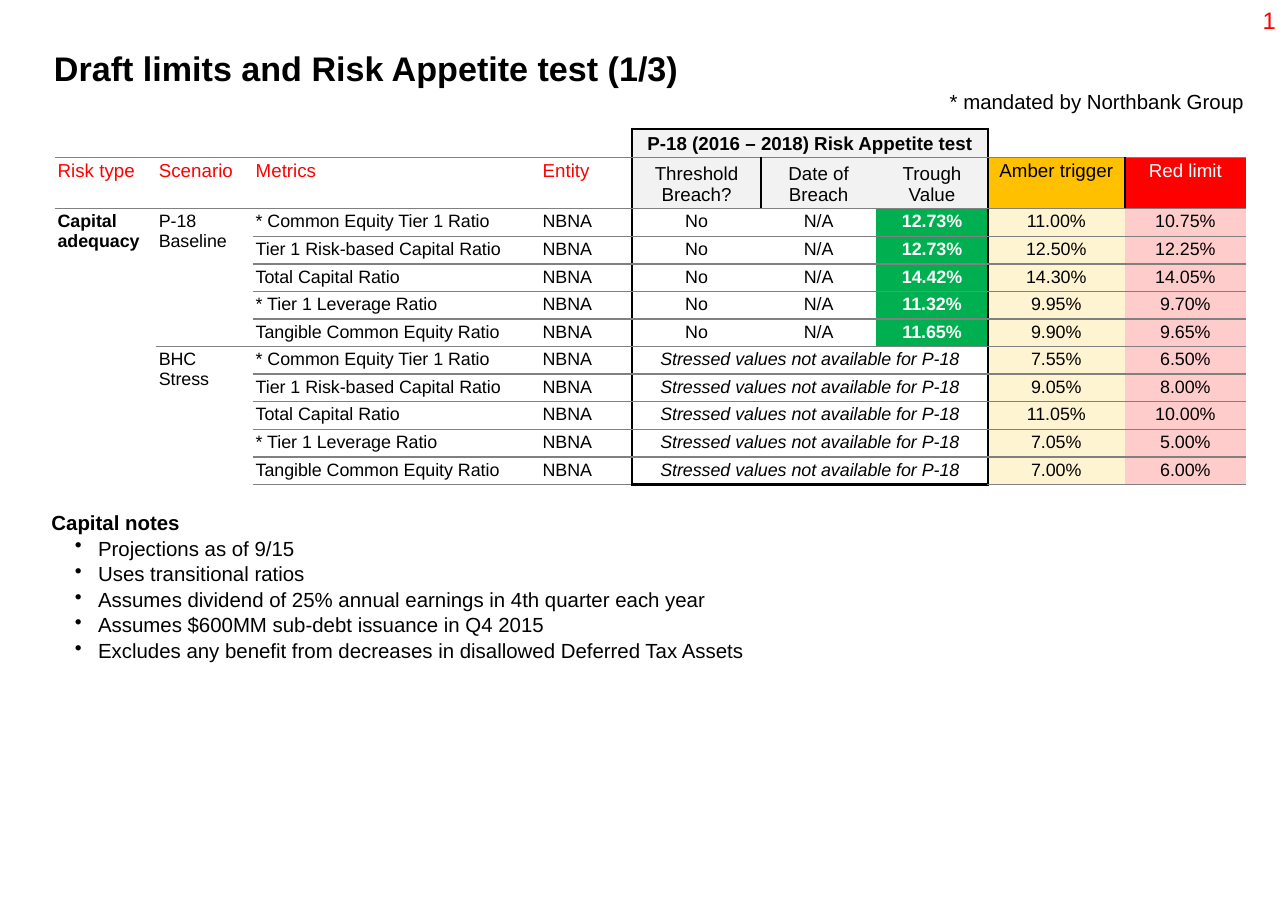
from dataclasses import dataclass

from lxml.etree import SubElement
from pptx import Presentation
from pptx.dml.color import RGBColor
from pptx.enum.text import MSO_ANCHOR as Anchor, PP_ALIGN as Align
from pptx.oxml.ns import qn
from pptx.util import Emu, Pt

EMU_PER_PX = 914400 // 200


@dataclass(frozen=True)
class Theme:
    font: str = "Arial"
    black: str = "000000"
    white: str = "FFFFFF"
    red: str = "FF0000"
    rule: str = "808080"
    test_header: str = "F2F2F2"
    amber: str = "FFC000"
    pale_amber: str = "FFF4D1"
    pale_red: str = "FFCCCC"
    green: str = "00B050"
    title_size: float = 20
    page_size: float = 14
    note_size: float = 12
    header_size: float = 11
    body_size: float = 10.5


THEME = Theme()

COLUMN_WIDTHS = [165, 158, 468, 151, 210, 188, 182, 223, 198]
ROW_HEIGHTS = [47, 80] + [45] * 10
CELL_INSET = 5
TEST_COLUMNS = range(4, 7)
TROUGH, AMBER, RED = 6, 7, 8
LAST_ROW = len(ROW_HEIGHTS)

TEST_TITLE = "P-18 (2016 – 2018) Risk Appetite test"
HEADERS = ["Risk type", "Scenario", "Metrics", "Entity", "Threshold Breach?",
           "Date of Breach", "Trough Value", "Amber trigger", "Red limit"]
METRICS = ["* Common Equity Tier 1 Ratio", "Tier 1 Risk-based Capital Ratio",
           "Total Capital Ratio", "* Tier 1 Leverage Ratio",
           "Tangible Common Equity Ratio"]
ENTITY = "NBNA"
UNAVAILABLE = "Stressed values not available for P-18"
BASELINE = [("12.73%", "11.00%", "10.75%"), ("12.73%", "12.50%", "12.25%"),
            ("14.42%", "14.30%", "14.05%"), ("11.32%", "9.95%", "9.70%"),
            ("11.65%", "9.90%", "9.65%")]
STRESS = [("7.55%", "6.50%"), ("9.05%", "8.00%"), ("11.05%", "10.00%"),
          ("7.05%", "5.00%"), ("7.00%", "6.00%")]
NOTES = ["Projections as of 9/15", "Uses transitional ratios",
         "Assumes dividend of 25% annual earnings in 4th quarter each year",
         "Assumes $600MM sub-debt issuance in Q4 2015",
         "Excludes any benefit from decreases in disallowed Deferred Tax Assets"]


def px(length):
    return Emu(length * EMU_PER_PX)


def style(paragraph, size, color=THEME.black, bold=False, italic=False, align=Align.LEFT):
    paragraph.alignment = align
    font = paragraph.font
    font.name, font.size, font.bold, font.italic = THEME.font, Pt(size), bold, italic
    font.color.rgb = RGBColor.from_string(color)


def add_text_frame(slide, box, inset=(0, 0), wrap=True):
    frame = slide.shapes.add_textbox(*map(px, box)).text_frame
    frame.margin_left = frame.margin_right = px(inset[0])
    frame.margin_top = frame.margin_bottom = px(inset[1])
    frame.word_wrap = wrap
    return frame


def add_line(slide, box, text, size, inset=(0, 0), wrap=True, **look):
    paragraph = add_text_frame(slide, box, inset, wrap).paragraphs[0]
    paragraph.text = text
    style(paragraph, size, **look)


def limit_rows():
    """Return the text of every row; None marks a cell covered by a merge."""
    rows = [[""] * 4 + [TEST_TITLE, None, None, "", ""], HEADERS]
    for metric, values in zip(METRICS, BASELINE):
        rows.append([None, None, metric, ENTITY, "No", "N/A", *values])
    for metric, limits in zip(METRICS, STRESS):
        rows.append([None, None, metric, ENTITY, UNAVAILABLE, None, None, *limits])
    rows[2][:2] = ["Capital adequacy", "P-18 Baseline"]
    rows[7][1] = "BHC Stress"
    return rows


def vertical_rule(row, x):
    """Border on the left of column x."""
    boxed = x in (4, 7) or (row == 1 and x in (5, 8))
    return (THEME.black, 1.5) if boxed else None


def horizontal_rule(y, column):
    """Border on the top of row y."""
    if y in (0, LAST_ROW) and column in TEST_COLUMNS:
        return THEME.black, 1.5
    breaks = {0: (1, 2, LAST_ROW), 1: (1, 2, 7, LAST_ROW)}.get(column, range(1, LAST_ROW + 1))
    return (THEME.rule, 1) if y in breaks else None


def draw_borders(cell, row, column):
    properties = cell._tc.get_or_add_tcPr()
    edges = {"a:lnL": vertical_rule(row, column), "a:lnR": vertical_rule(row, column + 1),
             "a:lnT": horizontal_rule(row, column), "a:lnB": horizontal_rule(row + 1, column)}
    for tag, rule in edges.items():
        line = SubElement(properties, qn(tag))
        if rule is None:
            SubElement(line, qn("a:noFill"))
            continue
        color, width = rule
        line.set("w", str(Pt(width)))
        SubElement(SubElement(line, qn("a:solidFill")), qn("a:srgbClr"), val=color)


def cell_fill(row, column, text):
    if row == 0:
        return THEME.test_header if column in TEST_COLUMNS else None
    if row == 1:
        if column in TEST_COLUMNS:
            return THEME.test_header
        return {AMBER: THEME.amber, RED: THEME.red}.get(column)
    if column == TROUGH and text:
        return THEME.green
    return {AMBER: THEME.pale_amber, RED: THEME.pale_red}.get(column)


def cell_look(row, column, text):
    look = {"size": THEME.header_size if row < 2 else THEME.body_size,
            "align": Align.LEFT if column < 4 else Align.CENTER,
            "bold": row == 0 or (row > 1 and column in (0, TROUGH)),
            "italic": text == UNAVAILABLE}
    if row == 1 and column < 4:
        look["color"] = THEME.red
    elif (row == 1 and column == RED) or (row > 1 and column == TROUGH):
        look["color"] = THEME.white
    return look


def fill_cell(cell, row, column, text):
    draw_borders(cell, row, column)
    color = cell_fill(row, column, text)
    if color:
        cell.fill.solid()
        cell.fill.fore_color.rgb = RGBColor.from_string(color)
    else:
        cell.fill.background()
    cell.margin_left = cell.margin_right = px(CELL_INSET)
    cell.margin_top = cell.margin_bottom = px(CELL_INSET)
    cell.vertical_anchor = Anchor.BOTTOM if row < 2 and column in TEST_COLUMNS else Anchor.TOP
    paragraph = cell.text_frame.paragraphs[0]
    style(paragraph, **cell_look(row, column, text))
    if text:
        paragraph.add_run().text = text
    else:
        SubElement(paragraph._p, qn("a:endParaRPr"), sz=str(int(THEME.body_size * 100)))


def add_limits_table(slide, left, top):
    table = slide.shapes.add_table(
        LAST_ROW, len(COLUMN_WIDTHS), px(left), px(top),
        px(sum(COLUMN_WIDTHS)), px(sum(ROW_HEIGHTS))).table
    table.first_row = table.horz_banding = False
    for column, width in zip(table.columns, COLUMN_WIDTHS):
        column.width = px(width)
    for row, height in zip(table.rows, ROW_HEIGHTS):
        row.height = px(height)
    for r, texts in enumerate(limit_rows()):
        for c, text in enumerate(texts):
            fill_cell(table.cell(r, c), r, c, text)
    tests = [((r, 4), (r, 6)) for r in (0, *range(7, LAST_ROW))]
    scenarios = [((2, 0), (11, 0)), ((2, 1), (6, 1)), ((7, 1), (11, 1))]
    for first, last in tests + scenarios:
        table.cell(*first).merge(table.cell(*last))


def add_notes(slide, box):
    frame = add_text_frame(slide, box)
    heading = frame.paragraphs[0]
    heading.text = "Capital notes"
    style(heading, THEME.note_size, bold=True)
    for note in NOTES:
        paragraph = frame.add_paragraph()
        paragraph.text = note
        paragraph.space_before = Pt(0.6)
        style(paragraph, THEME.note_size)
        properties = paragraph._p.get_or_add_pPr()
        properties.set("marL", str(px(76)))
        properties.set("indent", str(px(-38)))
        bullet = properties.makeelement(qn("a:buChar"), {"char": "•"})
        properties.find(qn("a:defRPr")).addprevious(bullet)


def build_limits_slide(slide):
    add_line(slide, (88, 77, 1926, 64), "Draft limits and Risk Appetite test (1/3)",
             THEME.title_size, bold=True)
    add_limits_table(slide, 89, 210)
    add_notes(slide, (84, 832, 1888, 242))
    add_line(slide, (2012, 0, 88, 84), "1", THEME.page_size, (20, 10), False,
             color=THEME.red, align=Align.RIGHT)
    add_line(slide, (1524, 135, 524, 58), "* mandated by Northbank Group",
             THEME.note_size, (20, 10), False, align=Align.RIGHT)


def main():
    deck = Presentation()
    deck.slide_width, deck.slide_height = px(2100), px(1500)
    build_limits_slide(deck.slides.add_slide(deck.slide_layouts[6]))
    deck.save("out.pptx")


if __name__ == "__main__":
    main()
